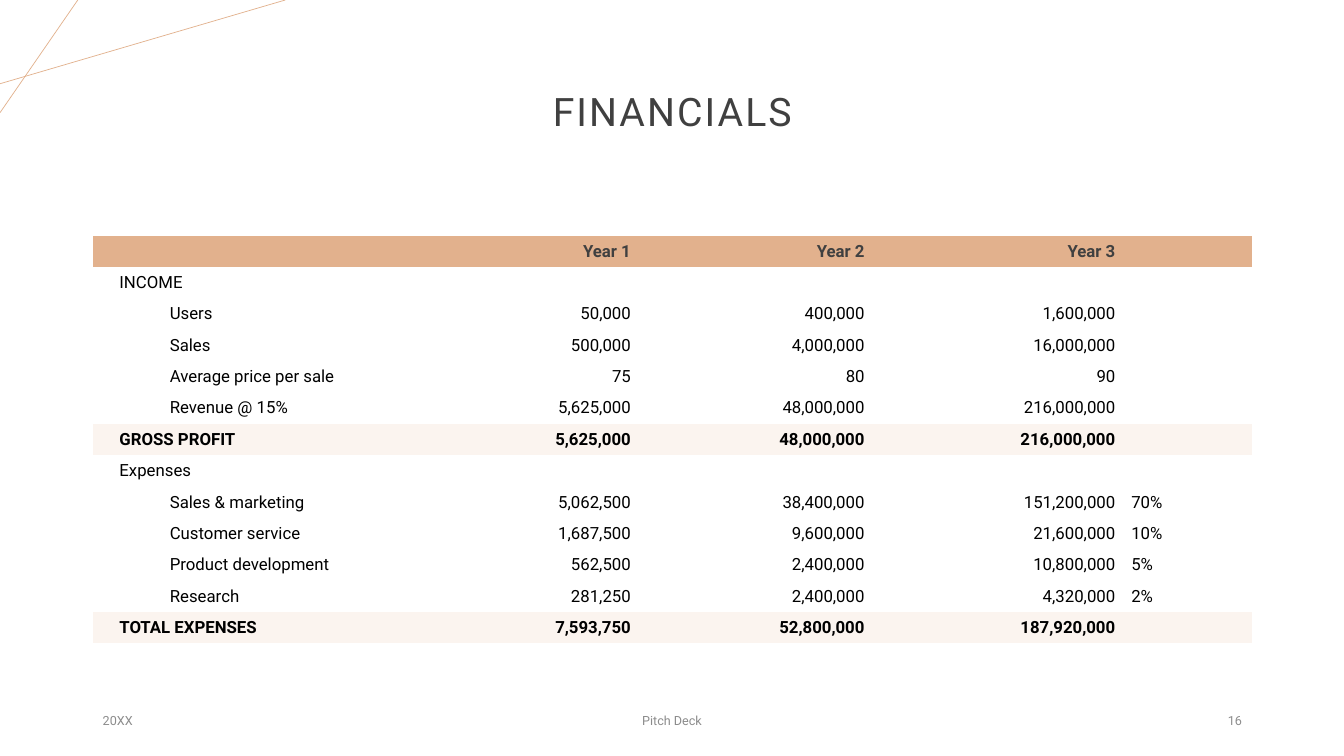
"""Build the Financials slide of a pitch deck with its three-year table."""
from dataclasses import dataclass

import pptx
import pptx.dml.color
import pptx.enum.shapes
import pptx.enum.text
import pptx.oxml
import pptx.oxml.ns
import pptx.util
from lxml import etree

Cm, Pt = pptx.util.Cm, pptx.util.Pt
ALIGN = pptx.enum.text.PP_ALIGN
MIDDLE = pptx.enum.text.MSO_ANCHOR.MIDDLE
qn = pptx.oxml.ns.qn

FONT = "Roboto"
COLORS = {"accent": "E2B18D", "band": "FBF4EF", "heading": "404040",
          "body": "000000", "footer": "8C8C8C"}
LEFT, WIDTH = 2.34, 29.21
TABLE_TOP, ROW_HEIGHT = 5.94, 0.79
COL_WIDTHS = (8.99, 4.77, 5.89, 6.32, 3.24)
COL_ALIGNS = (ALIGN.LEFT, ALIGN.RIGHT, ALIGN.RIGHT, ALIGN.RIGHT, ALIGN.LEFT)
NO_STYLE_NO_GRID = "{2D5ABB26-0587-4C30-8999-92F81FD0307C}"


@dataclass
class RowStyle:
    color: str = "body"
    bold: bool = False
    fill: str = ""
    indent: float = 0


@dataclass
class Row:
    style: RowStyle
    values: tuple[str, ...]


@dataclass
class Line:
    x1: float
    y1: float
    x2: float
    y2: float


@dataclass
class Footer:
    text: str
    left: float
    width: float
    align: ALIGN


HEADER = RowStyle("heading", True, "accent")
SECTION = RowStyle()
ITEM = RowStyle(indent=1.27)
TOTAL = RowStyle(bold=True, fill="band")

ROWS = (
    Row(HEADER, ("", "Year 1", "Year 2", "Year 3", "")),
    Row(SECTION, ("INCOME", "", "", "", "")),
    Row(ITEM, ("Users", "50,000", "400,000", "1,600,000", "")),
    Row(ITEM, ("Sales", "500,000", "4,000,000", "16,000,000", "")),
    Row(ITEM, ("Average price per sale", "75", "80", "90", "")),
    Row(ITEM, ("Revenue @ 15%", "5,625,000", "48,000,000", "216,000,000", "")),
    Row(TOTAL, ("GROSS PROFIT", "5,625,000", "48,000,000", "216,000,000", "")),
    Row(SECTION, ("Expenses", "", "", "", "")),
    Row(ITEM, ("Sales & marketing", "5,062,500", "38,400,000", "151,200,000", "70%")),
    Row(ITEM, ("Customer service", "1,687,500", "9,600,000", "21,600,000", "10%")),
    Row(ITEM, ("Product development", "562,500", "2,400,000", "10,800,000", "5%")),
    Row(ITEM, ("Research", "281,250", "2,400,000", "4,320,000", "2%")),
    Row(TOTAL, ("TOTAL EXPENSES", "7,593,750", "52,800,000", "187,920,000", "")),
)
LINES = (Line(0, 2.11, 7.19, 0), Line(1.96, 0, 0, 2.84))
FOOTERS = (
    Footer("20XX", LEFT, 7.62, ALIGN.LEFT),
    Footer("Pitch Deck", 11.22, 11.43, ALIGN.CENTER),
    Footer("16", 23.93, 7.62, ALIGN.RIGHT),
)


def rgb(name: str) -> pptx.dml.color.RGBColor:
    """Return the named palette colour."""
    return pptx.dml.color.RGBColor.from_string(COLORS[name])


def set_attrs(target: object, values: dict[str, object]) -> None:
    """Set every attribute in a dict of format values."""
    for name, value in values.items():
        setattr(target, name, value)


def write(p, text: str, size: float, color: str, align: ALIGN, bold: bool = False):
    """Write one formatted run into a paragraph and return the run."""
    p.alignment = align
    r = p.add_run()
    r.text = text
    set_attrs(r.font, {"name": FONT, "size": Pt(size), "bold": bold})
    r.font.color.rgb = rgb(color)
    return r


def draw_line(s, line: Line) -> None:
    """Draw a thin accent line."""
    c = s.shapes.add_connector(pptx.enum.shapes.MSO_CONNECTOR.STRAIGHT,
                               Cm(line.x1), Cm(line.y1), Cm(line.x2), Cm(line.y2))
    c.line.color.rgb = rgb("accent")
    c.line.width = Pt(0.5)
    etree.SubElement(c._element.spPr, qn("a:effectLst"))


def draw_title(s, text: str) -> None:
    """Place and format the title placeholder."""
    sp = s.shapes.title
    set_attrs(sp, {"left": Cm(LEFT), "top": Cm(1.02), "width": Cm(WIDTH), "height": Cm(3.68)})
    sp.text_frame.vertical_anchor = MIDDLE
    p = sp.text_frame.paragraphs[0]
    p.line_spacing = 0.9
    r = write(p, text, 28, "heading", ALIGN.CENTER)
    r.font._element.set("spc", "150")


def draw_footer(s, footer: Footer) -> None:
    """Draw one footer text."""
    sp = s.shapes.add_textbox(Cm(footer.left), Cm(17.65), Cm(footer.width), Cm(1.02))
    tf = sp.text_frame
    set_attrs(tf, {"word_wrap": True, "vertical_anchor": MIDDLE})
    write(tf.paragraphs[0], footer.text, 9, "footer", footer.align)


def fill_cell(cell, col: int, text: str, style: RowStyle) -> None:
    """Format one table cell and write its text."""
    set_attrs(cell, {"vertical_anchor": MIDDLE,
                     "margin_left": Cm(0.2 if col else 0.67), "margin_right": Cm(0.2),
                     "margin_top": Cm(0.1), "margin_bottom": Cm(0.1)})
    if style.fill:
        cell.fill.solid()
        cell.fill.fore_color.rgb = rgb(style.fill)
    else:
        cell.fill.background()
    p = cell.text_frame.paragraphs[0]
    if not text:
        etree.SubElement(p._p, qn("a:endParaRPr"), sz="1200")
        return
    write(p, text, 12, style.color, COL_ALIGNS[col], style.bold)
    if style.indent and col == 0:
        p.level = 1
        pPr = p._p.get_or_add_pPr()
        pPr.set("marL", str(Cm(style.indent)))
        pPr.set("indent", "0")


def draw_table(s, rows: tuple[Row, ...]) -> None:
    """Draw the financial table."""
    table = s.shapes.add_table(len(rows), len(COL_WIDTHS), Cm(LEFT), Cm(TABLE_TOP),
                               Cm(WIDTH), Cm(ROW_HEIGHT * len(rows))).table
    table.horz_banding = False
    table._tbl.tblPr.find(qn("a:tableStyleId")).text = NO_STYLE_NO_GRID
    for column, width in zip(table.columns, COL_WIDTHS):
        column.width = Cm(width)
    for i, row in enumerate(rows):
        table.rows[i].height = Cm(ROW_HEIGHT)
        for col, text in enumerate(row.values):
            fill_cell(table.cell(i, col), col, text, row.style)


def main() -> None:
    """Build and save the slide."""
    prs = pptx.Presentation()
    set_attrs(prs, {"slide_width": Cm(33.87), "slide_height": Cm(19.05)})
    s = prs.slides.add_slide(prs.slide_layouts[5])
    for line in LINES:
        draw_line(s, line)
    draw_title(s, "FINANCIALS")
    for footer in FOOTERS:
        draw_footer(s, footer)
    draw_table(s, ROWS)
    prs.save("out.pptx")


if __name__ == "__main__":
    main()
